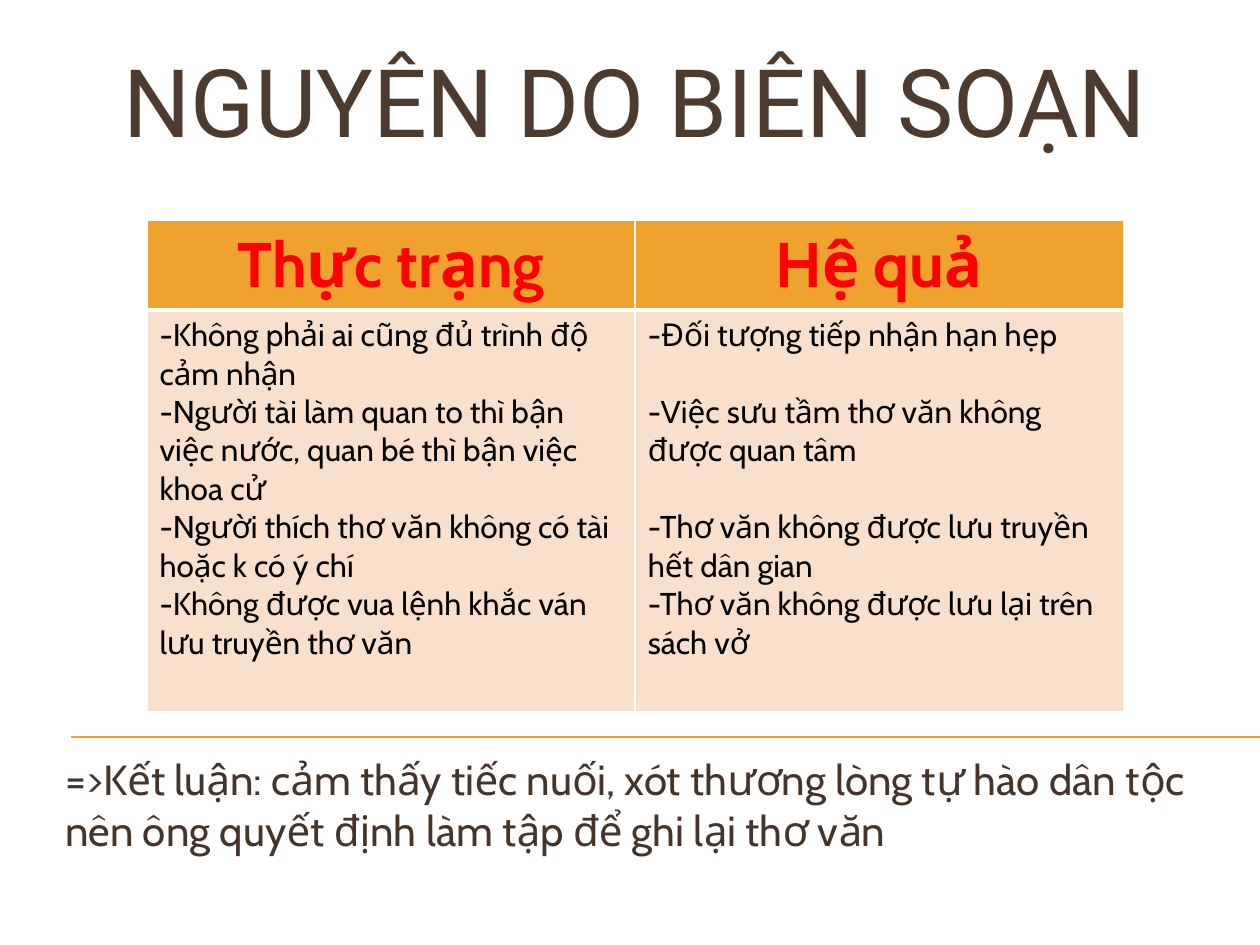
from dataclasses import dataclass

from lxml.etree import SubElement
from pptx import Presentation
from pptx.dml.color import RGBColor
from pptx.enum.shapes import MSO_CONNECTOR
from pptx.enum.text import MSO_ANCHOR, MSO_AUTO_SIZE, PP_ALIGN
from pptx.oxml.ns import qn
from pptx.util import Inches, Pt


@dataclass(frozen=True)
class Theme:
    accent: str = "F0A22E"
    title: str = "4E3B30"
    conclusion: str = "45342A"
    heading: str = "FF0000"
    body: str = "000000"
    cell: str = "F9E0CD"
    border: str = "FFFFFF"
    title_font: str = "Roboto"
    body_font: str = "Cabin"
    title_size: int = 54
    heading_size: int = 36
    conclusion_size: int = 24
    body_size: int = 18
    blank_line: int = 22
    thin: float = 1
    thick: float = 3
    rule: float = 0.75


HEADINGS = ["Thực trạng", "Hệ quả"]
CAUSES = [
    ("-Không phải ai cũng đủ trình độ cảm nhận", 0),
    ("-Người tài làm quan to thì bận việc nước, quan bé thì bận việc khoa cử", 0),
    ("-Người thích thơ văn không có tài hoặc k có ý chí", 0),
    ("-Không được vua lệnh khắc ván lưu truyền thơ văn", 0),
]
EFFECTS = [
    ("-Đối tượng tiếp nhận hạn hẹp", 0),
    ("-Việc sưu tầm thơ văn không được quan tâm", 1),
    ("-Thơ văn không được lưu truyền hết dân gian", 1),
    ("-Thơ văn không được lưu lại trên sách vở", 0),
]
CONCLUSION = (
    "=>Kết luận: cảm thấy tiếc nuối, xót thương lòng tự hào dân tộc "
    "nên ông quyết định làm tập để ghi lại thơ văn"
)


class SlideBuilder:
    columns, rows = 120, 90

    def __init__(self, deck, theme):
        self.deck = deck
        self.theme = theme
        self.slide = deck.slides.add_slide(deck.slide_layouts[0])

    def across(self, count):
        return round(self.deck.slide_width * count / self.columns)

    def down(self, count):
        return round(self.deck.slide_height * count / self.rows)

    def area(self, left, top, width, height):
        return self.across(left), self.down(top), self.across(width), self.down(height)

    def fill_para(self, para, text, color, alignment=PP_ALIGN.LEFT, before=0, **font):
        para.alignment = alignment
        para.space_before = Pt(before)
        span = para.add_run()
        span.text = text
        span.font.color.rgb = RGBColor.from_string(color)
        for name, value in font.items():
            setattr(span.font, name, value)

    def placeholder(self, index, area, text, anchor, **style):
        box = self.slide.placeholders[index]
        for name, value in zip(("left", "top", "width", "height"), self.area(*area)):
            setattr(box, name, value)
        frame = box.text_frame
        settings = {"word_wrap": True, "auto_size": MSO_AUTO_SIZE.NONE, "vertical_anchor": anchor}
        for name, value in settings.items():
            setattr(frame, name, value)
        self.fill_para(frame.paragraphs[0], text, **style)

    def rule(self, left, right, row):
        line = self.slide.shapes.add_connector(
            MSO_CONNECTOR.STRAIGHT,
            self.across(left), self.down(row), self.across(right), self.down(row),
        )
        line.line.color.rgb = RGBColor.from_string(self.theme.accent)
        line.line.width = Pt(self.theme.rule)
        SubElement(line._element.spPr, qn("a:effectLst"))

    def cell(self, cell, fill, bottom, lines, **style):
        properties = cell._tc.get_or_add_tcPr()
        widths = dict.fromkeys(("lnL", "lnR", "lnT"), self.theme.thin) | {"lnB": bottom}
        for tag, width in widths.items():
            border = SubElement(properties, qn(f"a:{tag}"), w=str(Pt(width)))
            paint = SubElement(border, qn("a:solidFill"))
            SubElement(paint, qn("a:srgbClr"), val=self.theme.border)
        cell.fill.solid()
        cell.fill.fore_color.rgb = RGBColor.from_string(fill)
        frame = cell.text_frame
        for index, (text, gap) in enumerate(lines):
            para = frame.add_paragraph() if index else frame.paragraphs[0]
            self.fill_para(para, text, before=gap * self.theme.blank_line, **style)

    def table(self, area, heights, headings, bodies):
        theme = self.theme
        table = self.slide.shapes.add_table(2, len(headings), *self.area(*area)).table
        for row, height in zip(table.rows, heights):
            row.height = self.down(height)
        for column, (heading, body) in enumerate(zip(headings, bodies)):
            self.cell(
                table.cell(0, column), theme.accent, theme.thick, [(heading, 0)],
                color=theme.heading, alignment=PP_ALIGN.CENTER,
                name=theme.body_font, size=Pt(theme.heading_size), bold=True,
            )
            self.cell(
                table.cell(1, column), theme.cell, theme.thin, body,
                color=theme.body, name=theme.body_font,
                size=Pt(theme.body_size), bold=False,
            )


def main():
    deck = Presentation()
    deck.slide_width, deck.slide_height = Inches(10), Inches(7.5)
    theme = Theme()
    page = SlideBuilder(deck, theme)
    page.rule(6.75, 120, 70.2)
    page.placeholder(
        0, (5, 3, 111, 13), "NGUYÊN DO BIÊN SOẠN", MSO_ANCHOR.MIDDLE,
        color=theme.title, alignment=PP_ALIGN.CENTER,
        name=theme.title_font, size=Pt(theme.title_size),
    )
    page.placeholder(
        1, (5, 65, 111, 17), CONCLUSION, MSO_ANCHOR.BOTTOM,
        color=theme.conclusion, name=theme.body_font, size=Pt(theme.conclusion_size),
    )
    page.table((14, 21, 93, 46), (7.7, 38.3), HEADINGS, [CAUSES, EFFECTS])
    deck.save("out.pptx")


if __name__ == "__main__":
    main()
